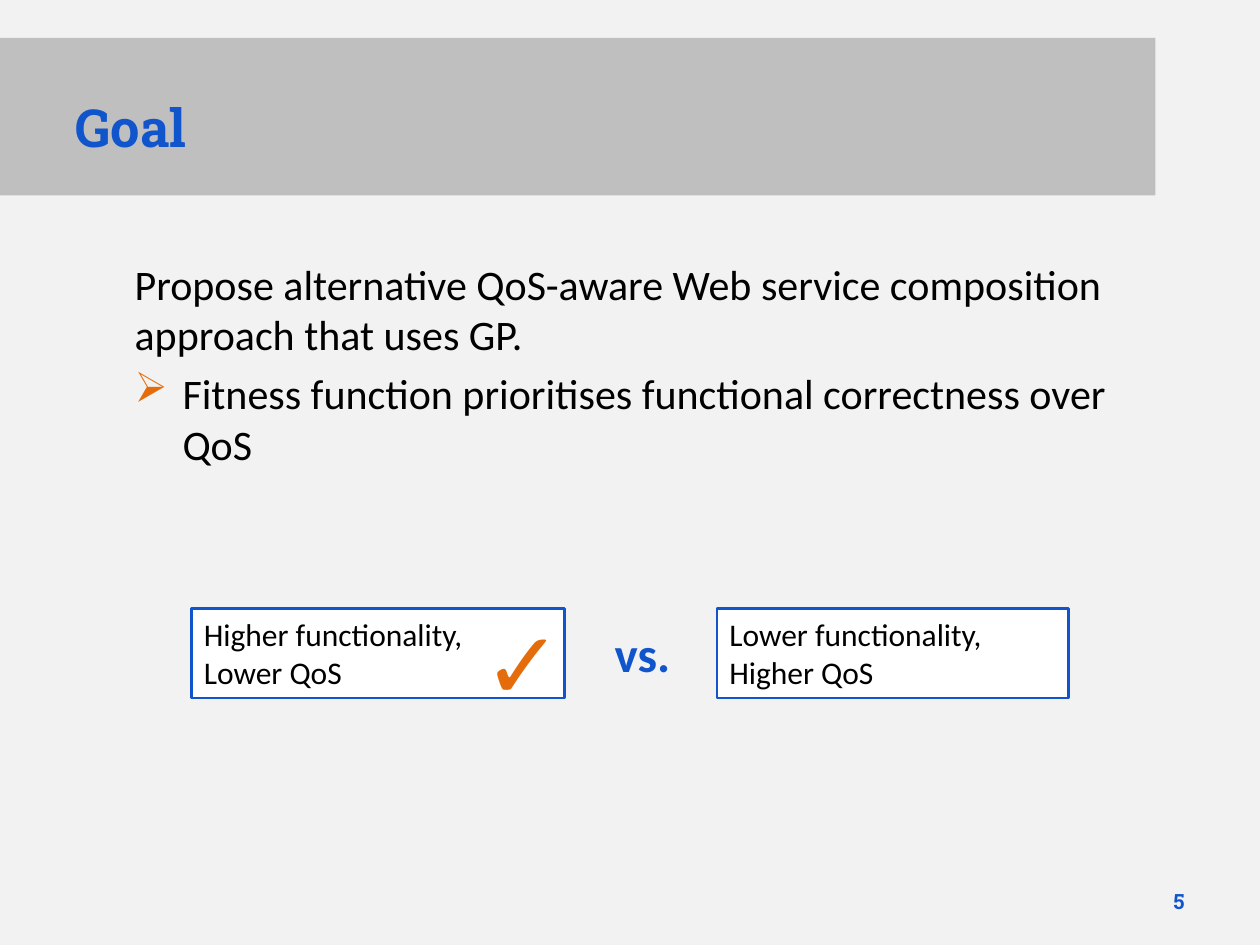
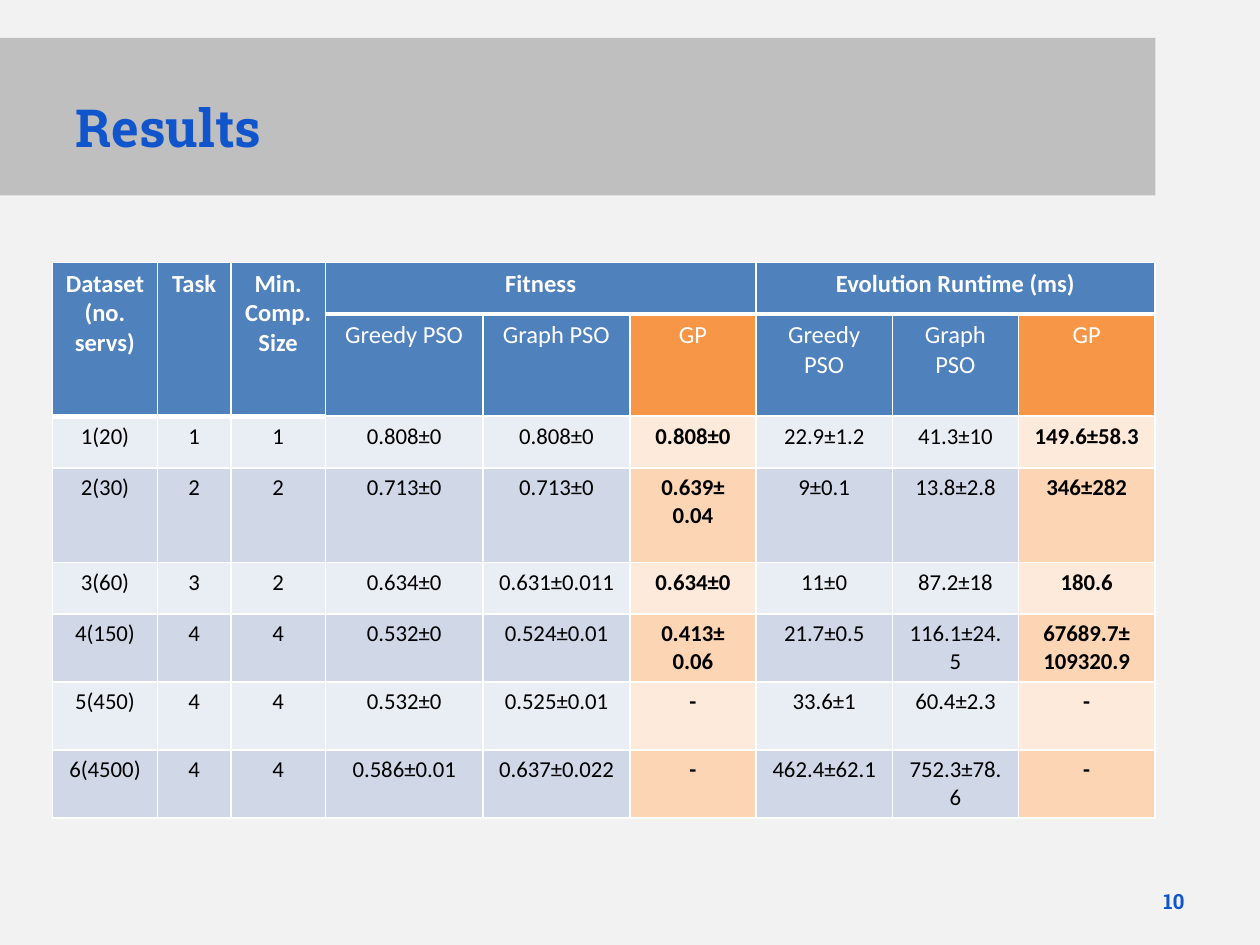
from lxml import etree
from pptx import Presentation
from pptx import util as u
from pptx.dml.color import RGBColor
from pptx.enum import shapes, text
from pptx.oxml.ns import qn

C = {"page": "F2F2F2", "band": "BFBFBF", "blue": "1155CC", "black": "000000",
     "white": "FFFFFF", "accent": "E46C0A", "head": "4F81BD", "head_gp": "F79646",
     "row": ["E9EDF4", "D0D8E8"], "row_gp": ["FDEADA", "FCD5B5"]}
RGB = RGBColor.from_string
UNIT = 1 / 12  # grid step in inches

prs = Presentation()
prs.slide_width, prs.slide_height = u.Inches(10), u.Inches(7.5)
W, H = prs.slide_width, prs.slide_height
bg = prs.slide_master.background.fill
bg.solid()
bg.fore_color.rgb = RGB(C["page"])


def add_run(p, words, size, color="black", bold=False, font="Calibri"):
    r = p.add_run()
    r.text = words
    r.font.name, r.font.size, r.font.bold = font, u.Pt(size), bold
    r.font.color.rgb = RGB(C[color])


def add_slide(title, number):
    s = prs.slides.add_slide(prs.slide_layouts[5])
    # Title band
    sp = s.shapes.title
    sp.left, sp.top, sp.width, sp.height = 0, int(H * 0.04), int(W * 0.917), u.Inches(1.25)
    sp.fill.solid()
    sp.fill.fore_color.rgb = RGB(C["band"])
    tf = sp.text_frame
    tf.auto_size = text.MSO_AUTO_SIZE.NONE
    tf.vertical_anchor = text.MSO_ANCHOR.MIDDLE
    p = tf.paragraphs[0]
    p.alignment = text.PP_ALIGN.LEFT
    add_run(p, "\t", 44, bold=True)
    add_run(p, title, 30, "blue", True, "Roboto Slab")
    # Page number
    sp = s.shapes.add_textbox(int(W * 0.9), u.Inches(6.95), int(W * 0.05), u.Inches(0.4))
    tf = sp.text_frame
    tf.word_wrap = True
    tf.vertical_anchor = text.MSO_ANCHOR.MIDDLE
    tf.paragraphs[0].alignment = text.PP_ALIGN.RIGHT
    add_run(tf.paragraphs[0], number, 12, "blue", True, "Roboto Slab")
    return s


# Goal slide
s = add_slide("Goal", "5")
sp = s.shapes.add_textbox(u.Inches(0.97), u.Inches(2), u.Inches(7.95), u.Inches(1.92))
tf = sp.text_frame
tf.word_wrap = True
add_run(tf.paragraphs[0], "Propose alternative QoS-aware Web service composition "
        "approach that uses GP.", 24)
p = tf.add_paragraph()
pPr = p._p.get_or_add_pPr()
pPr.set("marL", str(u.Inches(0.38)))
pPr.set("indent", str(-u.Inches(0.38)))
bullet_color = etree.SubElement(pPr, qn("a:buClr"))
etree.SubElement(bullet_color, qn("a:srgbClr"), val=C["accent"])
etree.SubElement(pPr, qn("a:buChar"), char="➢")
p.space_before = u.Pt(5)
add_run(p, "Fitness function prioritises functional correctness over QoS", 24)

# The two options compared
group = s.shapes.add_group_shape()
for left, width, lines in [(1.52, 2.96, ["Higher functionality,", "Lower QoS"]),
                           (5.69, 2.79, ["Lower functionality, Higher QoS"])]:
    sp = group.shapes.add_shape(shapes.MSO_SHAPE.RECTANGLE, u.Inches(left), u.Inches(4.83),
                                u.Inches(width), u.Inches(0.71))
    sp.shadow.inherit = False
    sp.fill.solid()
    sp.fill.fore_color.rgb = RGB(C["white"])
    sp.line.color.rgb = RGB(C["blue"])
    sp.line.width = u.Pt(1.5)
    tf = sp.text_frame
    tf.word_wrap = True
    tf.vertical_anchor = text.MSO_ANCHOR.TOP
    for i, line in enumerate(lines):
        p = tf.add_paragraph() if i else tf.paragraphs[0]
        p.alignment = text.PP_ALIGN.LEFT
        add_run(p, line, 18)

# Verdict marks
for box, words, size, color, bold in [((4.78, 4.9, 0.79, 0.57), "vs.", 28, "blue", True),
                                      ((3.74, 4.75, 0.61, 1.01), "✓", 54, "accent", False)]:
    sp = group.shapes.add_textbox(*[u.Inches(v) for v in box])
    add_run(sp.text_frame.paragraphs[0], words, size, color, bold)

# Results slide
s = add_slide("Results", "10")
results = [
    ["Dataset (no. servs)", "Task", "Min. Comp. Size", "Fitness", "", "",
     "Evolution Runtime (ms)", "", ""],
    ["", "", ""] + ["Greedy PSO", "Graph PSO", "GP"] * 2,
    ["1(20)", "1", "1", "0.808±0", "0.808±0", "0.808±0", "22.9±1.2", "41.3±10", "149.6±58.3"],
    ["2(30)", "2", "2", "0.713±0", "0.713±0", "0.639±\n0.04", "9±0.1", "13.8±2.8", "346±282"],
    ["3(60)", "3", "2", "0.634±0", "0.631±0.011", "0.634±0", "11±0", "87.2±18", "180.6"],
    ["4(150)", "4", "4", "0.532±0", "0.524±0.01", "0.413±\n0.06", "21.7±0.5", "116.1±24.5",
     "67689.7±\n109320.9"],
    ["5(450)", "4", "4", "0.532±0", "0.525±0.01", "-", "33.6±1", "60.4±2.3", "-"],
    ["6(4500)", "4", "4", "0.586±0.01", "0.637±0.022", "-", "462.4±62.1", "752.3±78.6", "-"],
]
col_units = [10, 7, 9, 15, 14, 12, 13, 12, 13]
row_heights = [0.41, 0.81, 0.41, 0.75, 0.41, 0.54, 0.54, 0.54]
table = s.shapes.add_table(len(results), len(col_units), u.Inches(5 * UNIT),
                           u.Inches(25 * UNIT), u.Inches(sum(col_units) * UNIT),
                           u.Inches(sum(row_heights))).table
for col, units in zip(table.columns, col_units):
    col.width = u.Inches(units * UNIT)
for row, height in zip(table.rows, row_heights):
    row.height = u.Inches(height)

# Header spans
for c in range(3):
    table.cell(0, c).merge(table.cell(1, c))
for c in (3, 6):
    table.cell(0, c).merge(table.cell(0, c + 2))

# Cells: header rows first, then banded rows with the GP columns highlighted
for r, values in enumerate(results):
    for c, value in enumerate(values):
        cell = table.cell(r, c)
        gp = c in (5, 8) and r > 0
        if r < 2:
            fill, size, color, bold = C["head_gp" if gp else "head"], 14, "white", r == 0
        else:
            fill, size, color, bold = C["row_gp" if gp else "row"][r % 2], 13, "black", gp
        cell.fill.solid()
        cell.fill.fore_color.rgb = RGB(fill)

        # White borders, heavier below the headings
        heavy_below = r == 0 or (r == 1 and c < 3)
        heavy_above = r == (2 if c < 3 else 1)
        tcPr = cell._tc.get_or_add_tcPr()
        for i, (side, points) in enumerate([("L", 1), ("R", 1), ("T", 3 if heavy_above else 1),
                                            ("B", 3 if heavy_below else 1)]):
            ln = etree.Element(qn("a:ln" + side), w=str(u.Pt(points)))
            paint = etree.SubElement(ln, qn("a:solidFill"))
            etree.SubElement(paint, qn("a:srgbClr"), val=C["white"])
            tcPr.insert(i, ln)

        if value:
            tf = cell.text_frame
            for i, line in enumerate(value.split("\n")):
                p = tf.add_paragraph() if i else tf.paragraphs[0]
                p.alignment = text.PP_ALIGN.CENTER
                add_run(p, line, size, color, bold)

prs.save("out.pptx")
